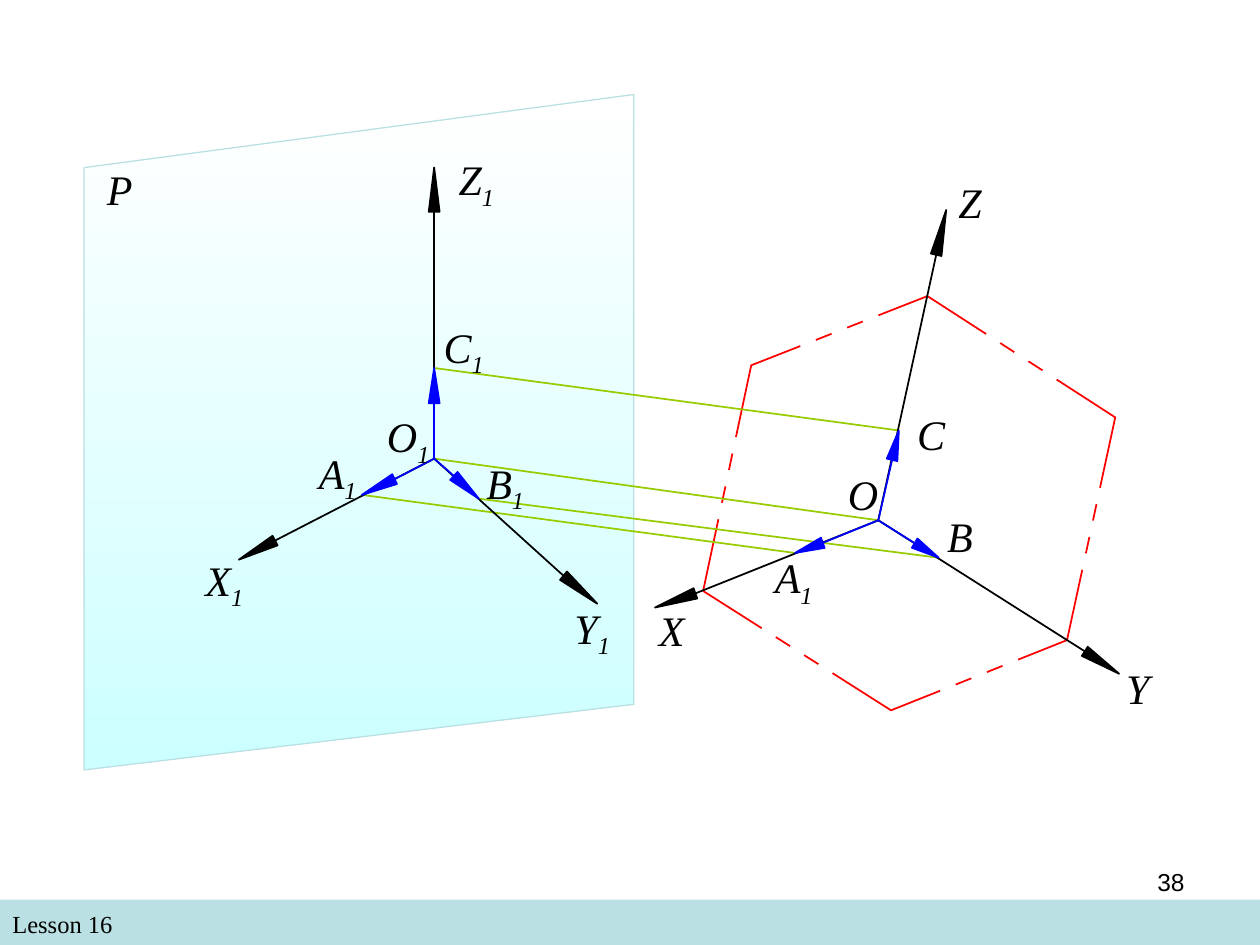
import math

import pptx
import pptx.dml.color
import pptx.enum.shapes
import pptx.enum.text
import pptx.oxml
import pptx.util

Pt = pptx.util.Pt
RGBColor = pptx.dml.color.RGBColor
PP_ALIGN = pptx.enum.text.PP_ALIGN

BLACK = RGBColor(0x00, 0x00, 0x00)
WHITE = RGBColor(0xFF, 0xFF, 0xFF)
BLUE = RGBColor(0x00, 0x00, 0xFF)
RED = RGBColor(0xFF, 0x00, 0x00)
GREEN = RGBColor(0x99, 0xCC, 0x00)
PALE_CYAN = RGBColor(0xCC, 0xFF, 0xFF)
TEAL = RGBColor(0xBB, 0xE0, 0xE3)

prs = pptx.Presentation()
prs.slide_width, prs.slide_height = Pt(720), Pt(540)
s = prs.slides.add_slide(prs.slide_layouts[6])


def draw_line(start, end, color):
    line = s.shapes.add_connector(
        pptx.enum.shapes.MSO_CONNECTOR.STRAIGHT, *[Pt(v) for v in (*start, *end)])
    line.line.color.rgb = color
    line.line.width = Pt(1)
    line._element.spPr.append(pptx.oxml.parse_xml(
        '<a:effectLst xmlns:a="http://schemas.openxmlformats.org/drawingml/2006/main"/>'))


def draw_outline(points, color, closed, width=1):
    """Return an unfilled freeform through points given in points."""
    corners = [(Pt(x), Pt(y)) for x, y in points]
    builder = s.shapes.build_freeform(*corners[0])
    builder.add_line_segments(corners[1:], close=closed)
    sp = builder.convert_to_shape()
    sp.shadow.inherit = False
    sp.fill.background()
    sp.line.color.rgb = color
    sp.line.width = Pt(width)
    return sp


# Footer bar
bar = s.shapes.add_shape(
    pptx.enum.shapes.MSO_SHAPE.RECTANGLE, Pt(0), Pt(514), Pt(720), Pt(26))
bar.shadow.inherit = False
bar.fill.solid()
bar.fill.fore_color.rgb = TEAL
bar.line.fill.background()

# Projection plane P
plane = draw_outline([(48, 440), (48, 95.8), (362.2, 54), (362.2, 402.5)], TEAL, True, 0)
plane.fill.gradient()
plane.fill.gradient_angle = 270
for stop, color in zip(plane.fill.gradient_stops, (WHITE, PALE_CYAN)):
    stop.color.rgb = color
plane.fill.gradient_stops[0].position = 0
plane.fill.gradient_stops[1].position = 1

# Hexagon: solid corners, two dashes in the middle of each edge
DASH = 9.6
hexagon = [(401.8, 337.7), (429.3, 208.8), (530, 169.2),
           (637.3, 238.5), (609.8, 365.8), (509.2, 405.9)]
edges = []
for (x1, y1), (x2, y2) in zip(hexagon, hexagon[1:] + hexagon[:1]):
    length = math.hypot(x2 - x1, y2 - y1)
    stops = [0.5 + k * DASH / length for k in (-2.5, -1.5, -0.5, 0.5, 1.5, 2.5)]
    edges.append([(x1 + t * (x2 - x1), y1 + t * (y2 - y1)) for t in stops])
for i, corner in enumerate(hexagon):
    edge = edges[i]
    draw_outline([edges[i - 1][5], corner, edge[0]], RED, False)
    draw_line(edge[1], edge[2], RED)
    draw_line(edge[3], edge[4], RED)

# Projecting lines from the plane to the space axes
O, A, B, C = (501.9, 297.3), (454.3, 316), (536.4, 318.7), (513.7, 246)
O1, A1, B1, C1 = (248.1, 262.1), (206.8, 282.8), (273.7, 285), (248.1, 210.3)
for start, end in ((C1, C), (O1, O), (B1, B), (A1, A)):
    draw_line(start, end, GREEN)

# Axes and unit vectors: origin, base of the head, tip
HALF_HEAD = 3.1
arrows = [
    (O, (535, 145.6), (540.7, 120), BLACK),
    (O, (397.4, 339.1), (374.3, 347.2), BLACK),
    (O, (619.9, 372.2), (639.5, 385), BLACK),
    (O1, (248.1, 121), (248.1, 95.7), BLACK),
    (O1, (157.2, 308.9), (136.5, 319.8), BLACK),
    (O1, (322, 329), (341.3, 345), BLACK),
    (O1, (225.5, 273.8), A1, BLUE),
    (O1, (259.4, 272), B1, BLUE),
    (O1, (248.1, 230.4), C1, BLUE),
    (O, (509.8, 262.8), C, BLUE),
    (O, (470.2, 310.2), A, BLUE),
    (O, (522.7, 310.4), B, BLUE),
]
for origin, base, tip, color in arrows:
    draw_line(origin, base, color)
    dx, dy = tip[0] - base[0], tip[1] - base[1]
    k = HALF_HEAD / math.hypot(dx, dy)
    left = (base[0] + k * dy, base[1] - k * dx)
    right = (base[0] - k * dy, base[1] + k * dx)
    head = draw_outline([left, tip, right], color, True)
    head.fill.solid()
    head.fill.fore_color.rgb = color

# Texts: letter, subscript, left, top
labels = [
    ("Y", "", 617.8, 375.1), ("X", "", 351.4, 342), ("Z", "", 522, 97.2),
    ("O", "", 460.8, 264.2), ("P", "", 36, 90),
    ("Z", "1", 239.8, 84.2), ("Y", "1", 306, 340.6), ("X", "1", 95.8, 313.2),
    ("O", "1", 200.9, 231.1), ("A", "1", 160.6, 252), ("C", "1", 232.6, 180),
    ("B", "1", 256.3, 257.8), ("C", "", 499.7, 229.7), ("B", "", 516.2, 288),
    ("A", "1", 421.2, 311.8),
]
texts = [(letter, sub, x, y, 64.8, 40.3 if sub else 36,
          24, "Times New Roman", True, PP_ALIGN.CENTER) for letter, sub, x, y in labels]
texts += [
    ("Lesson 16", "", 0, 516.2, 347.8, 24.5, 14, "Times New Roman", False, PP_ALIGN.LEFT),
    ("38", "", 516.2, 491.8, 167.8, 37.4, 14, "Arial", False, PP_ALIGN.RIGHT),
]
for text, sub, x, y, w, h, size, font, italic, align in texts:
    tf = s.shapes.add_textbox(Pt(x), Pt(y), Pt(w), Pt(h)).text_frame
    tf.word_wrap = True
    p = tf.paragraphs[0]
    p.text = text
    p.alignment = align
    if sub:
        r = p.add_run()
        r.text = sub
        r.font._element.set("baseline", "-25000")
    for r in p.runs:
        r.font.name = font
        r.font.size = Pt(size)
        r.font.italic = italic
        r.font.color.rgb = BLACK

prs.save("out.pptx")
